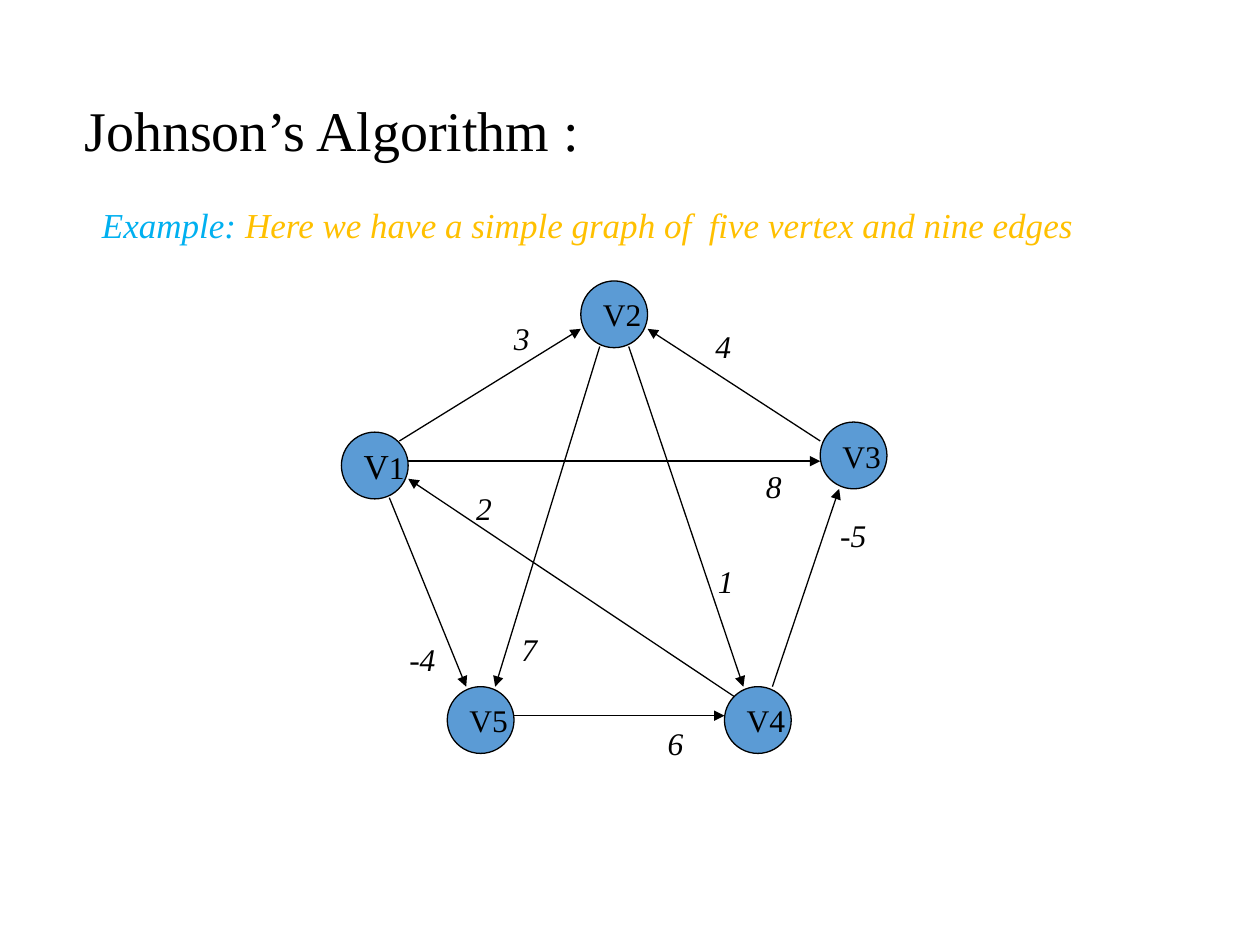
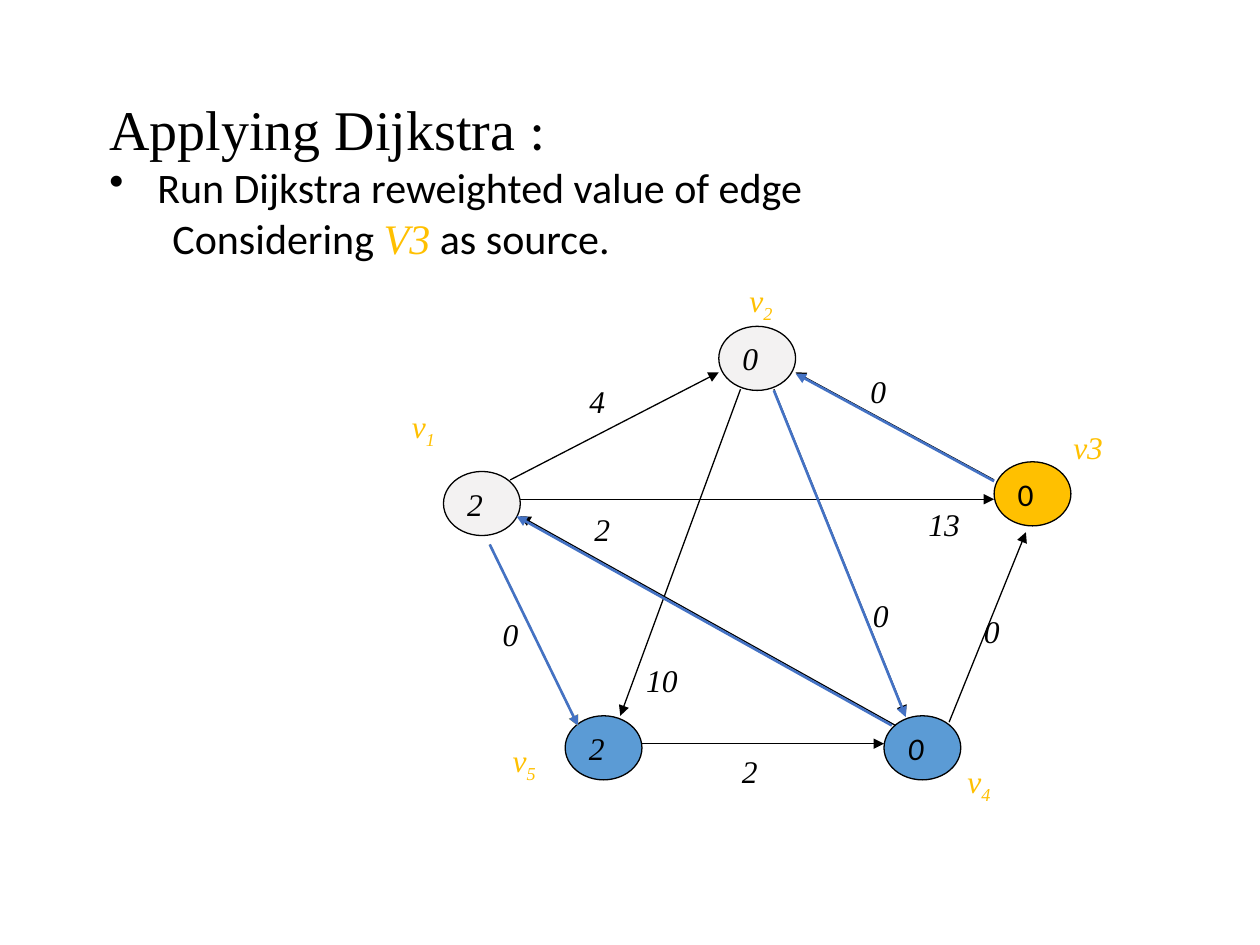
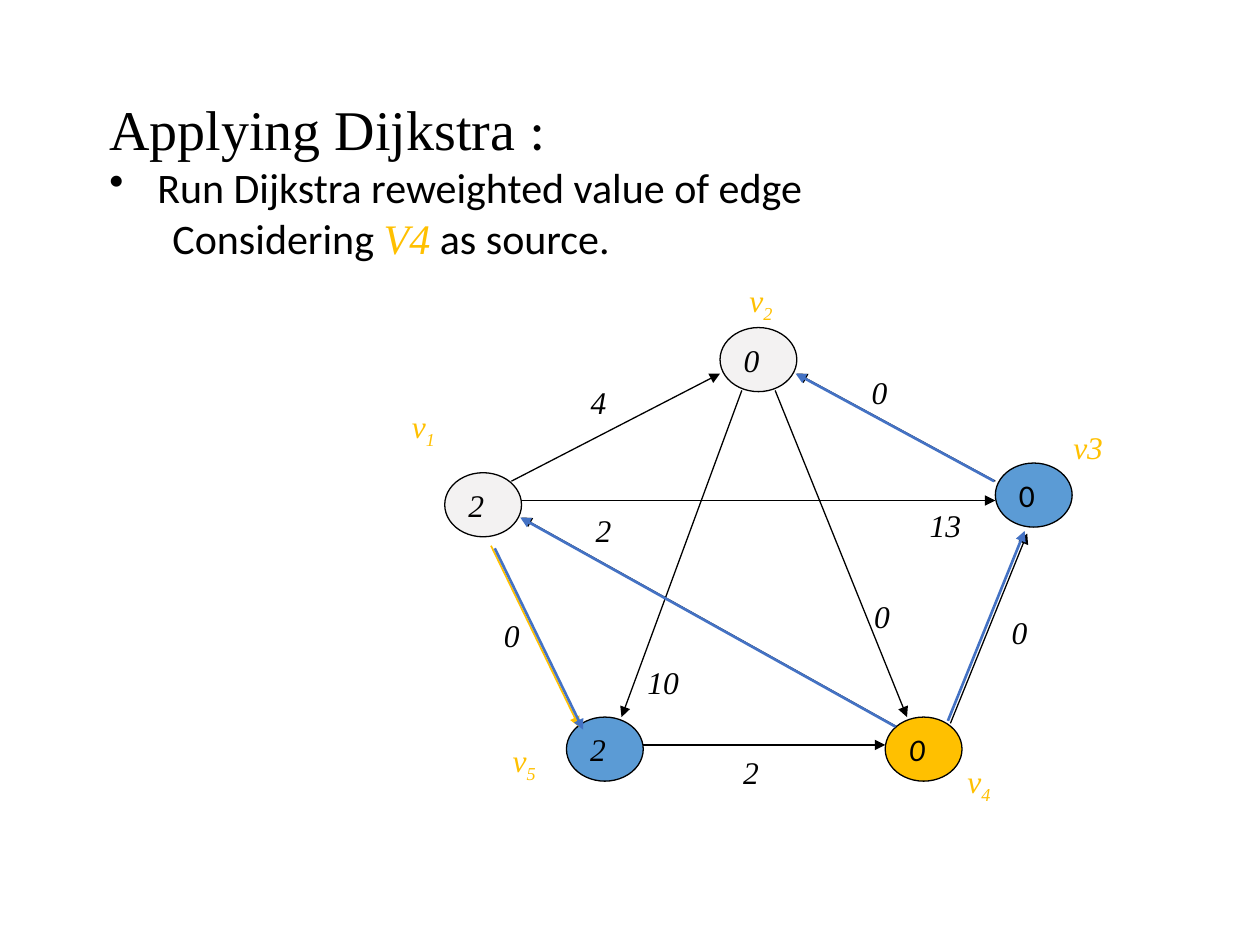
from lxml import etree
from pptx import Presentation
from pptx.dml.color import RGBColor
from pptx.enum.shapes import MSO_CONNECTOR, MSO_SHAPE
from pptx.enum.text import MSO_ANCHOR, PP_ALIGN
from pptx.oxml.ns import qn
from pptx.util import Inches, Pt

OVAL = MSO_SHAPE.OVAL
LINE = MSO_CONNECTOR.STRAIGHT
LEFT, TOP, MID = PP_ALIGN.LEFT, MSO_ANCHOR.TOP, MSO_ANCHOR.MIDDLE
WIDE, HIGH = 10, 7.5

BLACK, BLUE, GOLD, PALE = "000000", "5B9BD5", "FFC000", "F3F2F2"
ROUTE, CYAN = "4472C4", "00B0F0"
SERIF, SANS = "Times New Roman", "Calibri"

BASE = {"size": 18, "name": SERIF, "italic": False, "color": BLACK}
ITAL = {"italic": True}
MARK = {"italic": True, "color": GOLD}
HEAD = {"size": 32}
BODY = {"size": 24, "name": SANS}

SIDE = 0.53
NODES = {1: (0, 1.2), 2: (1.9, 0), 3: (3.8, 1.12), 4: (3.04, 3.22), 5: (0.84, 3.22)}
EDGES = {
    (1, 2): (0.46, 1.27, 1.9, 0.38),
    (3, 2): (3.8, 1.27, 2.43, 0.38),
    (4, 3): (3.42, 3.22, 3.95, 1.65),
    (5, 4): (1.37, 3.45, 3.04, 3.45),
    (1, 5): (0.38, 1.72, 0.99, 3.22),
    (2, 5): (2.05, 0.52, 1.22, 3.22),
    (2, 4): (2.28, 0.52, 3.19, 3.22),
    (4, 1): (3.12, 3.3, 0.53, 1.57),
    (1, 3): (0.53, 1.43, 3.8, 1.43),
}
NUDGE = {(4, 3): (0.08, 0.05), (1, 5): (-0.07, 0.08)}

FIRST = {
    "org": (2.71, 2.23), "scale": (1, 1), "nudge": {},
    "nodes": {n: (BLUE, [("V%d" % n, {})]) for n in NODES},
    "tags": [("2", 3.68, 3.83), ("1", 5.6, 4.41), ("4", 5.58, 2.55),
             ("3", 3.98, 2.48), ("8", 5.98, 3.66), ("-5", 6.57, 4.05),
             ("-4", 3.15, 5.03), ("6", 5.2, 5.7), ("7", 4.04, 4.95)],
    "gold": [],
}
FIRST["nodes"][1] = (BLUE, [("V", {"size": 20}), ("1", {})])

COSTS = {1: ("2", ITAL), 2: ("0", ITAL), 3: ("0", {"name": SANS}),
         4: ("0", {"name": SANS, "italic": True}), 5: ("2", ITAL)}
TAGS = [("2", 4.62, 4), ("0", 6.83, 4.68), ("0", 6.81, 2.9), ("4", 4.58, 2.98),
        ("13", 7.27, 3.96), ("0", 3.89, 4.83), ("2", 5.79, 5.92), ("10", 5.03, 5.2)]
NAMES = [("v", "1", 3.17, 3.18), ("v", "2", 5.85, 2.18), ("v", "4", 7.58, 6),
         ("v", "5", 3.97, 5.83), ("v3", "", 8.42, 3.35)]
RUNS = [
    {"src": 3, "org": (3.52, 2.59), "shift": 0, "last": (7.71, 4.81),
     "route": {(3, 2): (0, 0.01), (2, 4): (0, 0.01),
               (4, 1): (-0.03, 0), (1, 5): (0, 0)}},
    {"src": 4, "org": (3.53, 2.6), "shift": 0.01, "last": (7.92, 4.81),
     "route": {(4, 3): (-0.02, -0.02), (3, 2): (-0.01, 0),
               (4, 1): (-0.01, 0), (1, 5): (0.03, 0.02)}},
]


def tint(code):
    return RGBColor.from_string(code)


def write(para, runs):
    para.alignment = LEFT
    for text, style in runs:
        run = para.add_run()
        run.text = text
        form = {**BASE, **style}
        font = run.font
        font.color.rgb = tint(form.pop("color"))
        base = form.pop("baseline", None)
        form["size"] = Pt(form["size"])
        for key, val in form.items():
            setattr(font, key, val)
        if base:
            run.font._element.set("baseline", str(base))


def indent(para, left, first=0, dot=None):
    props = para._p.get_or_add_pPr()
    props.set("marL", str(Inches(left)))
    props.set("indent", str(Inches(first)))
    if dot:
        etree.SubElement(props, qn("a:buChar")).set("char", dot)


def label(page, spot, paras, wrap=False):
    box = page.shapes.add_textbox(*map(Inches, spot))
    frame = box.text_frame
    frame.word_wrap = wrap
    frame.vertical_anchor = TOP
    for i, runs in enumerate(paras):
        write(frame.add_paragraph() if i else frame.paragraphs[0], runs)
    return frame.paragraphs


def arrow(page, ends, color=BLACK, width=0.75):
    line = page.shapes.add_connector(LINE, *map(Inches, ends))
    line.line.color.rgb = tint(color)
    line.line.width = Pt(width)
    tail = etree.SubElement(line.line._get_or_add_ln(), qn("a:tailEnd"))
    tail.set("type", "triangle")
    etree.SubElement(line._element.spPr, qn("a:effectLst"))


def place(plan, x, y, move=(0, 0)):
    return [o + s * v + m for o, s, v, m in zip(plan["org"], plan["scale"], (x, y), move)]


def ends(plan, edge, move=(0, 0)):
    off = plan["nudge"].get(edge, (0, 0))
    both = [a + b for a, b in zip(off, move)]
    x, y, p, q = EDGES[edge]
    return place(plan, x, y, both) + place(plan, p, q, both)


def graph(page, plan):
    size = [SIDE * s for s in plan["scale"]]
    for n, (fill, runs) in plan["nodes"].items():
        node = page.shapes.add_shape(OVAL, *map(Inches, place(plan, *NODES[n]) + size))
        node.shadow.inherit = False
        node.fill.solid()
        node.fill.fore_color.rgb = tint(fill)
        node.line.color.rgb = tint(BLACK)
        node.line.width = Pt(0.75)
        frame = node.text_frame
        frame.word_wrap = False
        frame.vertical_anchor = MID
        write(frame.paragraphs[0], runs)
    for edge in EDGES:
        look = (GOLD, 1) if edge in plan["gold"] else (BLACK, 0.75)
        arrow(page, ends(plan, edge), *look)
    for text, x, y in plan["tags"]:
        label(page, (x, y, 0.3 + 0.1 * len(text), 0.5), [[(text, ITAL)]])


def intro(page):
    graph(page, FIRST)
    line = {"size": 20, "italic": True}
    paras = label(page, (0.57, 0.71, 8.92, 1.31), [
        [("Johnson’s Algorithm :", HEAD)],
        [("Example: ", {**line, "color": CYAN}),
         ("Here we have a simple graph of  five vertex and nine edges",
          {**line, "color": GOLD})],
    ], True)
    paras[1].space_before = Pt(23)
    indent(paras[1], 0.14)


def search(page, run):
    src, shift = run["src"], run["shift"]
    fills = {1: PALE, 2: PALE, 3: BLUE, 4: BLUE, 5: BLUE, src: GOLD}
    plan = {
        "org": run["org"], "scale": (1.15, 0.96), "nudge": NUDGE, "gold": [(1, 5)],
        "nodes": {n: (fills[n], [COSTS[n]]) for n in NODES},
        "tags": [(t, x + shift, y + shift) for t, x, y in TAGS + [("0", *run["last"])]],
    }
    graph(page, plan)
    for text, sub, x, y in NAMES:
        runs = [(text, MARK)]
        if sub:
            runs.append((sub, {**MARK, "baseline": -25000}))
        label(page, (x, y, 0.8, 0.4), [runs], True)
    paras = label(page, (0.77, 0.7, 8.9, 1.45), [
        [("Applying Dijkstra ", HEAD), (":", {**HEAD, "name": SANS})],
        [("Run Dijkstra reweighted value of edge", BODY)],
        [("Considering ", BODY), ("V%d" % src, {**MARK, "size": 24}),
         (" as source.", BODY)],
    ], True)
    indent(paras[1], 0.38, -0.38, "•")
    indent(paras[2], 0.5)
    for edge, move in run["route"].items():
        arrow(page, ends(plan, edge, move), ROUTE, 1.5)


def main():
    deck = Presentation()
    deck.slide_width, deck.slide_height = Inches(WIDE), Inches(HIGH)
    blank = deck.slide_layouts[6]
    intro(deck.slides.add_slide(blank))
    for run in RUNS:
        search(deck.slides.add_slide(blank), run)
    deck.save("out.pptx")


if __name__ == "__main__":
    main()
